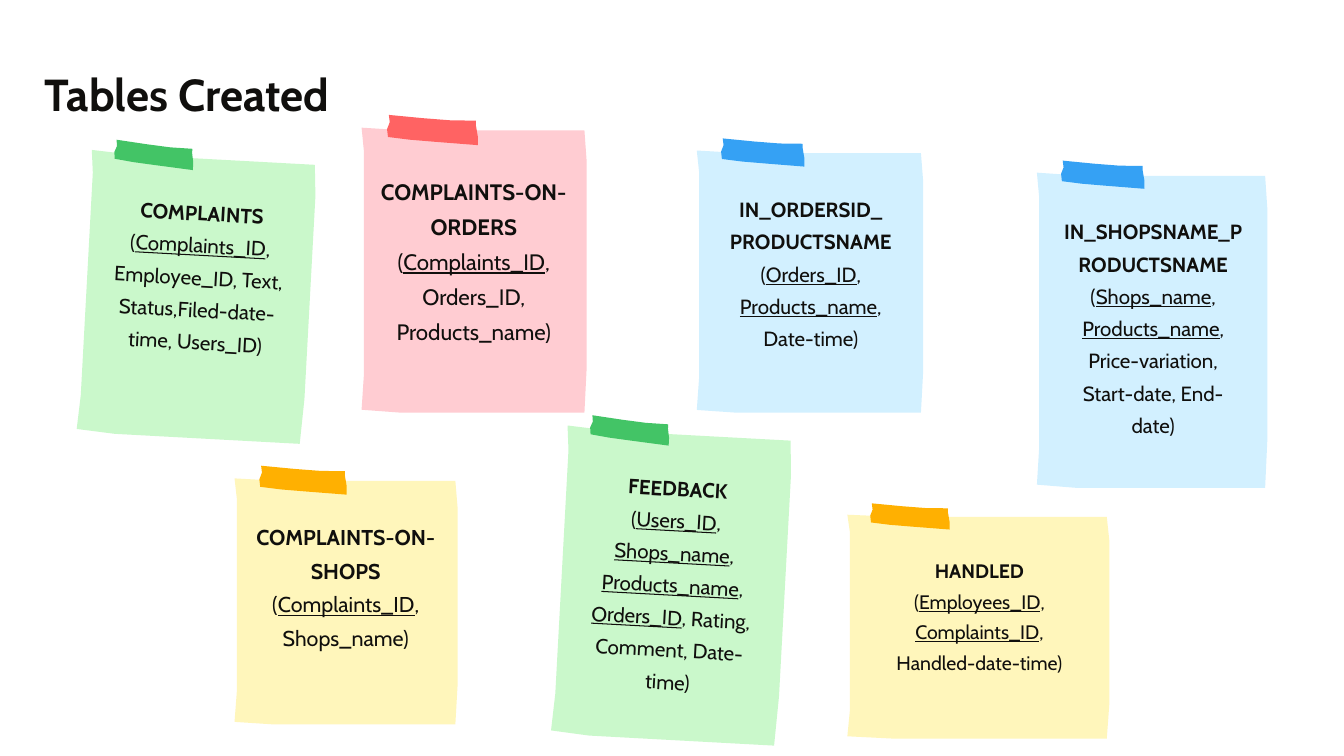
from dataclasses import dataclass

from pptx import Presentation
from pptx.dml.color import RGBColor
from pptx.enum.text import PP_ALIGN
from pptx.util import Pt

INK = RGBColor(0x10, 0x0F, 0x0D)
PINK, RED = RGBColor(0xFF, 0xCC, 0xD2), RGBColor(0xFF, 0x63, 0x63)
CREAM, AMBER = RGBColor(0xFF, 0xF6, 0xBB), RGBColor(0xFF, 0xB0, 0x01)
SKY, BLUE = RGBColor(0xD2, 0xF0, 0xFF), RGBColor(0x35, 0xA1, 0xF4)
MINT, GREEN = RGBColor(0xCA, 0xF8, 0xCB), RGBColor(0x43, 0xC4, 0x66)

FONT = "Cabin"
TILT = 3.1

# Outlines as fractions of the width and height of the piece
PAPER = [(1, 0.12), (0.99, 0.01), (0.77, 0.01), (0.2, 0.01), (0, 0),
         (0.01, 0.08), (0.01, 0.87), (0, 0.99), (0.17, 1), (0.73, 1),
         (0.99, 1), (1, 0.84)]
TAPE = [(0.02, 0), (0.4, 0.11), (0.7, 0.18), (0.98, 0.19), (0.98, 0.36),
        (1, 0.71), (1, 1), (0.53, 0.89), (0.25, 0.82), (0.01, 0.73),
        (0, 0.47), (0.03, 0.24)]


@dataclass
class Note:
    """A taped note; each frame is left, top, width, height in points."""
    titles: list
    keys: list
    columns: str
    size: float
    paper_color: RGBColor
    tape_color: RGBColor
    paper: tuple
    tape: tuple
    text: tuple
    rotation: float = 0


NOTES = [
    Note(["COMPLAINTS-ON-ORDERS"], ["Complaints_ID"],
         "Orders_ID, Products_name", 23.9, PINK, RED,
         (387.4, 136.8, 241.2, 305.3), (414.7, 123.1, 97.2, 32.4),
         (400.3, 182.2, 214.6, 154.1)),
    Note(["COMPLAINTS-ON-SHOPS"], ["Complaints_ID"],
         "Shops_name", 23, CREAM, AMBER,
         (251.3, 512.6, 239, 263.5), (277.9, 499, 93.6, 31),
         (268.6, 553, 203.8, 118.1)),
    Note(["IN_SHOPSNAME_PRODUCTSNAME"], ["Shops_name", "Products_name"],
         "Price-variation, Start-date, End-date", 22, SKY, BLUE,
         (1111, 185, 247, 337.7), (1136.9, 172.1, 89.3, 30.2),
         (1138.3, 226.8, 194.4, 198.7)),
    Note(["COMPLAINTS"], ["Complaints_ID"],
         "Employee_ID, Text, Status,Filed-date-time, Users_ID", 22, MINT, GREEN,
         (90, 167, 241.9, 302.4), (122.4, 151.9, 85, 28.1),
         (118.1, 206.6, 190.1, 169.9), TILT),
    Note(["HANDLED"], ["Employees_ID", "Complaints_ID"],
         "Handled-date-time", 20.9, CREAM, AMBER,
         (907.9, 551.5, 280.8, 239.8), (932.4, 539.3, 85, 28.1),
         (938.9, 591.1, 221, 107.3)),
    Note(["FEEDBACK"], ["Users_ID", "Shops_name", "Products_name", "Orders_ID"],
         "Rating, Comment, Date-time", 22, MINT, GREEN,
         (599, 462.2, 241.9, 330.5), (632.2, 447.1, 85, 28.1),
         (627.1, 501.8, 190.1, 198.7), TILT),
    Note(["IN_ORDERSID_", "PRODUCTSNAME"], ["Orders_ID", "Products_name"],
         "Date-time", 22, SKY, BLUE,
         (746.6, 161.3, 242.6, 280.8), (772.6, 148.3, 89.3, 30.2),
         (773.3, 203, 190.8, 141.8)),
]


def set_format(target, values):
    for name, value in values.items():
        setattr(target, name, value)


def add_piece(shapes, outline, frame, color, rotation):
    """Cut a flat piece of paper or tape to fit the frame."""
    left, top, width, height = frame
    points = [(Pt(left + x * width), Pt(top + y * height)) for x, y in outline]
    builder = shapes.build_freeform(*points[0])
    builder.add_line_segments(points[1:], close=True)
    piece = builder.convert_to_shape()
    piece.fill.solid()
    piece.fill.fore_color.rgb = color
    piece.line.fill.background()
    piece.shadow.inherit = False
    piece.rotation = rotation


def add_text(shapes, frame, paragraphs, size, paragraph_format, rotation=0):
    """Each paragraph is a list of (words, font values) spans."""
    box = shapes.add_textbox(*map(Pt, frame))
    box.rotation = rotation
    margins = dict.fromkeys(
        ["margin_left", "margin_top", "margin_right", "margin_bottom"], 0)
    set_format(box.text_frame, {"word_wrap": True, **margins})
    for index, spans in enumerate(paragraphs):
        para = (box.text_frame.add_paragraph() if index
                else box.text_frame.paragraphs[0])
        set_format(para, paragraph_format)
        for words, values in spans:
            span = para.add_run()
            span.text = words
            set_format(span.font, {"name": FONT, "size": Pt(size), **values})
            span.font.color.rgb = INK


def schema_spans(keys, columns):
    """List the columns in brackets, with the key columns underlined."""
    spans = []
    for index, key in enumerate(keys):
        spans.append((", " if index else "(", {}))
        spans.append((key, {"underline": True}))
    return spans + [(f", {columns})", {})]


def add_note(slide, note):
    shapes = slide.shapes.add_group_shape().shapes
    add_piece(shapes, PAPER, note.paper, note.paper_color, note.rotation)
    add_piece(shapes, TAPE, note.tape, note.tape_color, note.rotation)
    paragraphs = [[(title, {"bold": True})] for title in note.titles]
    paragraphs.append(schema_spans(note.keys, note.columns))
    add_text(shapes, note.text, paragraphs, note.size,
             {"alignment": PP_ALIGN.CENTER, "line_spacing": 1.31},
             note.rotation)


def main():
    deck = Presentation()
    set_format(deck, {"slide_width": Pt(1440), "slide_height": Pt(810)})
    page = deck.slides.add_slide(deck.slide_layouts[6])
    add_text(page.shapes, (47.5, 67, 356.4, 52.6),
             [[("Tables Created", {"bold": True})]], 48, {"line_spacing": 1.08})
    for note in NOTES:
        add_note(page, note)
    deck.save("out.pptx")


if __name__ == "__main__":
    main()
